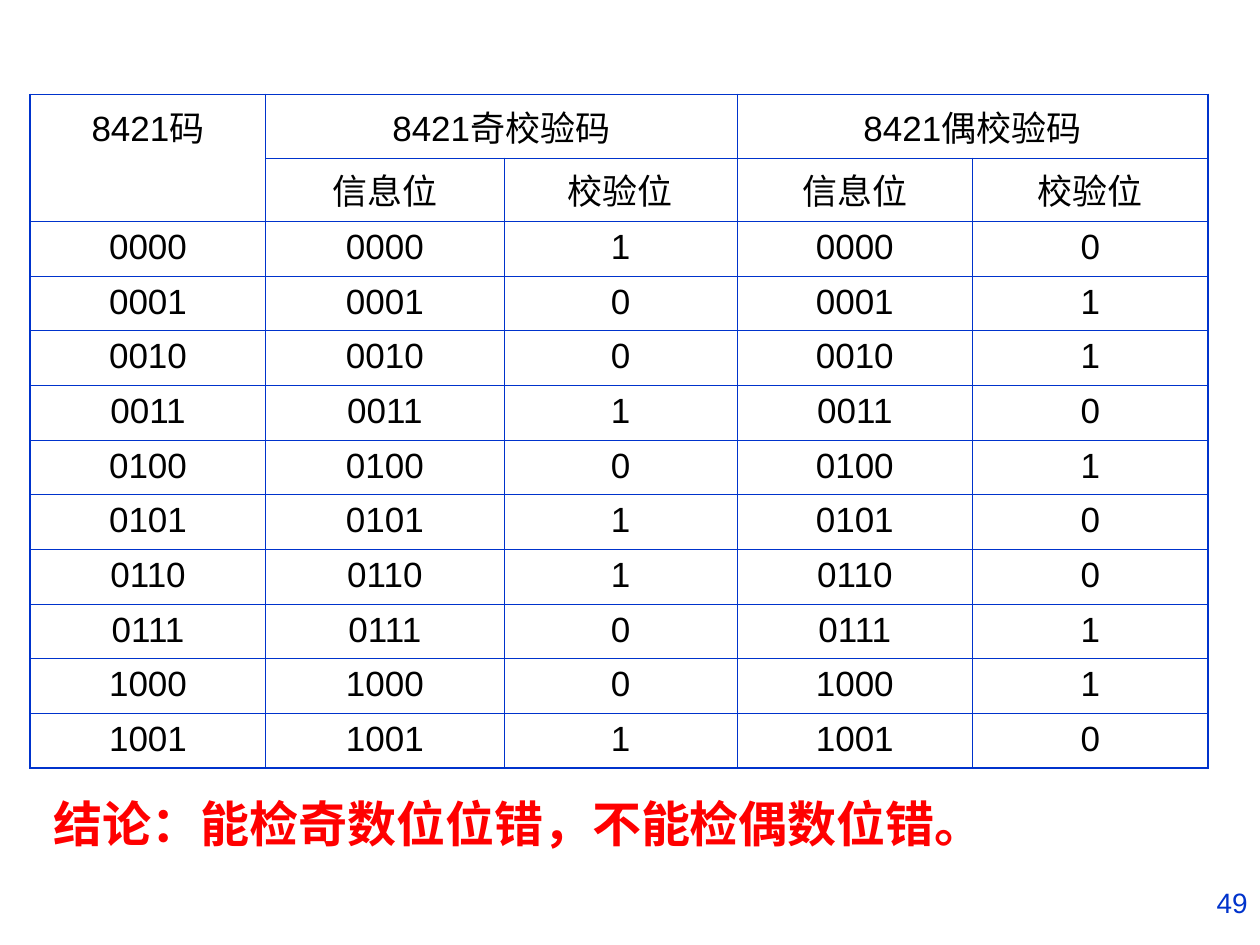
from lxml import etree
from pptx import Presentation
from pptx.dml.color import RGBColor
from pptx.enum.text import PP_ALIGN
from pptx.oxml.ns import qn
from pptx.util import Inches, Pt

LEFT, CENTER, RIGHT = PP_ALIGN.LEFT, PP_ALIGN.CENTER, PP_ALIGN.RIGHT
COLORS = {"text": "000000", "blue": "0033CC", "red": "FF0000"}
FONT = "Arial"
OUTER, INNER = Pt(1.08), Pt(0.45)
BLANK_LAYOUT = 6


class SlideBuilder:
    def __init__(self, prs):
        self.slide = prs.slides.add_slide(prs.slide_layouts[BLANK_LAYOUT])

    def add_text(self, tf, text, size, color, align=LEFT, bold=False):
        p = tf.paragraphs[0]
        p.alignment = align
        r = p.add_run()
        r.text = text
        r.font.name = FONT
        r.font.size = Pt(size)
        r.font.bold = bold
        r.font.color.rgb = RGBColor.from_string(COLORS[color])

    def text_box(self, text, left, top, width, height, size, color, **style):
        sp = self.slide.shapes.add_textbox(
            Inches(left), Inches(top), Inches(width), Inches(height))
        sp.text_frame.word_wrap = True
        self.add_text(sp.text_frame, text, size, color, **style)

    def borders(self, cell, widths):
        """Draw the cell's edges; widths maps L, R, T, B to line widths."""
        tc_pr = cell._tc.get_or_add_tcPr()
        for side, width in widths.items():
            ln = etree.SubElement(tc_pr, qn(f"a:ln{side}"), w=str(width))
            fill = etree.SubElement(ln, qn("a:solidFill"))
            etree.SubElement(fill, qn("a:srgbClr"), val=COLORS["blue"])

    def table(self, rows, merges, left, top, col_widths, height):
        n_rows, n_cols = len(rows), len(col_widths)
        table = self.slide.shapes.add_table(
            n_rows, n_cols, Inches(left), Inches(top),
            Inches(sum(col_widths)), Inches(height)).table
        table.first_row = table.horz_banding = False
        for column, width in zip(table.columns, col_widths):
            column.width = Inches(width)
        for row in table.rows:
            row.height = Inches(height / n_rows)
        for start, end in merges:
            table.cell(*start).merge(table.cell(*end))

        for i, values in enumerate(rows):
            for j, value in enumerate(values):
                cell = table.cell(i, j)
                span = cell.span_width if cell.is_merge_origin else 1
                self.borders(cell, {
                    "L": OUTER if j == 0 else INNER,
                    "R": OUTER if j + span == n_cols else INNER,
                    "T": OUTER if i == 0 else INNER,
                    "B": OUTER if i == n_rows - 1 else INNER,
                })
                cell.fill.background()
                if value:
                    self.add_text(cell.text_frame, value, 20, "text", align=CENTER)


def parity_row(number):
    """Return the code of a digit with its odd and even check bits."""
    code = f"{number:04b}"
    even = code.count("1") % 2
    return [code, code, str(1 - even), code, str(even)]


def main():
    prs = Presentation()
    prs.slide_width, prs.slide_height = Inches(10), Inches(7.5)
    s = SlideBuilder(prs)

    header = [["8421码", "8421奇校验码", "", "8421偶校验码", ""],
              [""] + ["信息位", "校验位"] * 2]
    s.table(header + [parity_row(n) for n in range(10)],
            merges=[((0, 0), (1, 0)), ((0, 1), (0, 2)), ((0, 3), (0, 4))],
            left=0.24, top=0.75,
            col_widths=[1.87, 1.89, 1.85, 1.87, 1.87], height=5.21)

    s.text_box("结论：能检奇数位位错，不能检偶数位错。",
               0.33, 6.25, 7.67, 0.57, 28, "red", bold=True)
    s.text_box("49", 7.5, 6.98, 2.5, 0.52, 16, "blue", align=RIGHT)

    prs.save("out.pptx")


if __name__ == "__main__":
    main()
